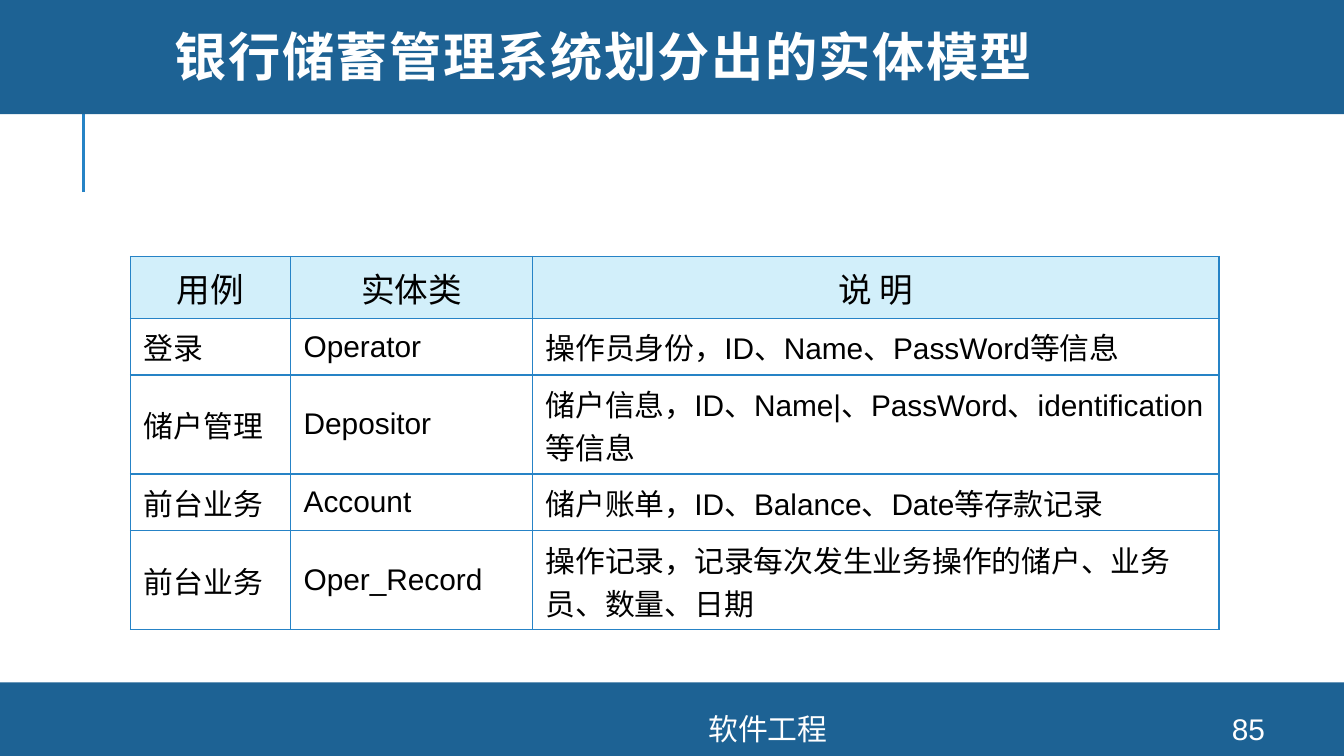
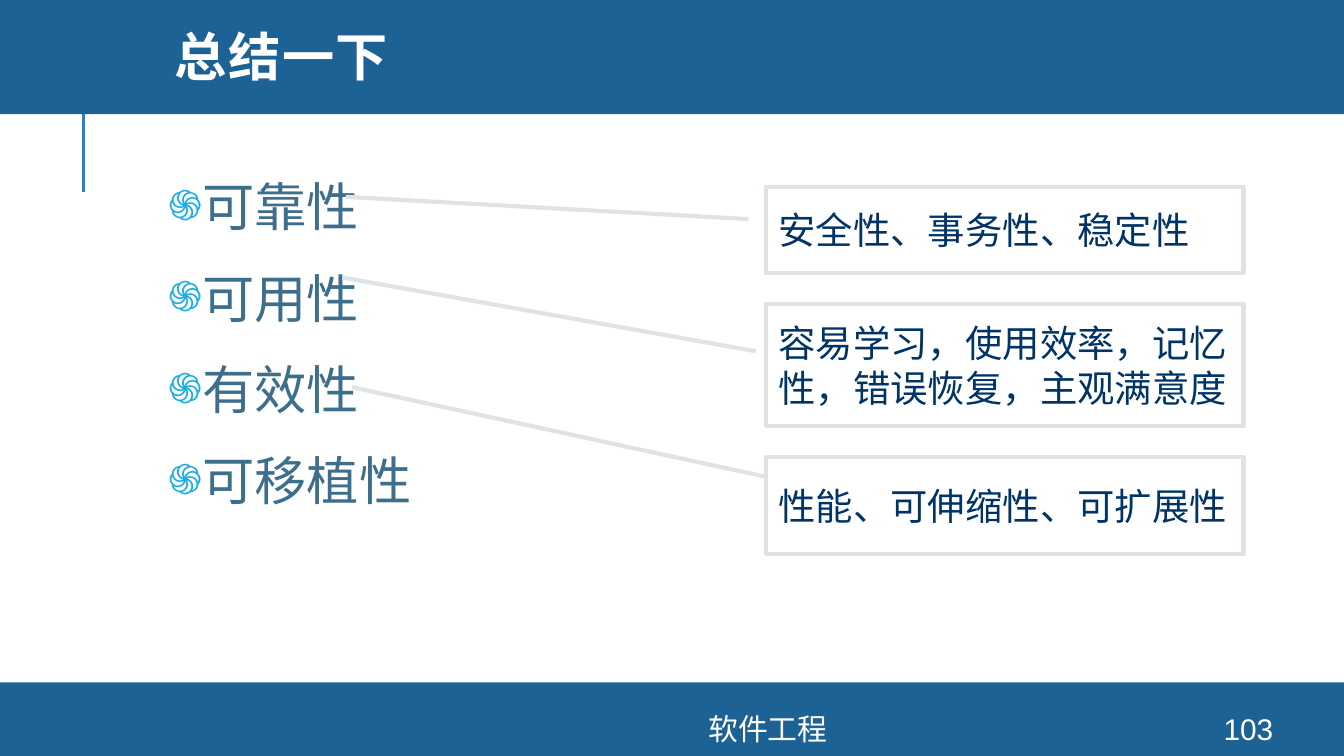
from lxml.etree import SubElement
from pptx import Presentation
from pptx.dml.color import RGBColor
from pptx.enum.shapes import MSO_CONNECTOR, MSO_SHAPE
from pptx.enum.text import MSO_ANCHOR, MSO_AUTO_SIZE, PP_ALIGN
from pptx.oxml import parse_xml
from pptx.oxml.ns import nsdecls, qn
from pptx.util import Cm, Pt

# Colours and fonts
WHITE = RGBColor(0xFF, 0xFF, 0xFF)
BLACK = RGBColor(0, 0, 0)
BAND = RGBColor(0x1D, 0x62, 0x94)
RULE = RGBColor(0x26, 0x83, 0xC6)
HEAD = RGBColor(0xD2, 0xEF, 0xFA)
SLATE = RGBColor(0x3D, 0x6E, 0x8C)
BULLET = RGBColor(0x1C, 0xAD, 0xE4)
FRAME = RGBColor(0xDF, 0xE3, 0xE5)
NAVY = RGBColor(0x00, 0x33, 0x66)
BODY_FONT = "Arial"
TITLE_FONT = "Montserrat"

# Table content
COLS = (3.02, 4.57, 12.98)
ROWS = (1.17, 1.07, 1.87, 1.07, 1.87)
ENTITIES = (
    ("用例", "实体类", "说 明"),
    ("登录", "Operator", "操作员身份，ID、Name、PassWord等信息"),
    ("储户管理", "Depositor",
     "储户信息，ID、Name|、PassWord、identification等信息"),
    ("前台业务", "Account", "储户账单，ID、Balance、Date等存款记录"),
    ("前台业务", "Oper_Record",
     "操作记录，记录每次发生业务操作的储户、业务员、数量、日期"),
)

# Summary content: callouts hold top, height, pointer ratios and text
TRAITS = ("可靠性", "可用性", "有效性", "可移植性")
CALLOUTS = (
    (3.53, 1.63, (0.376, -0.037, 0.118, -0.881), "安全性、事务性、稳定性"),
    (5.74, 2.31, (0.39, -0.022, -0.214, -0.888),
     "容易学习，使用效率，记忆性，错误恢复，主观满意度"),
    (8.64, 1.83, (0.203, -0.002, -0.722, -0.868), "性能、可伸缩性、可扩展性"),
)


def style(para, size, color, align=PP_ALIGN.LEFT, name=BODY_FONT):
    para.alignment = align
    font = para.font
    font.size, font.name = Pt(size), name
    font.color.rgb = color


def inset(frame, side, edge):
    frame.margin_left = frame.margin_right = Cm(side)
    frame.margin_top = frame.margin_bottom = Cm(edge)


def add_band(slide, top, height):
    band = slide.shapes.add_shape(
        MSO_SHAPE.RECTANGLE, 0, Cm(top), Cm(25.4), Cm(height))
    band.shadow.inherit = False
    band.fill.solid()
    band.fill.fore_color.rgb = BAND
    band.line.fill.background()
    return band


def add_rule(slide):
    rule = slide.shapes.add_connector(
        MSO_CONNECTOR.STRAIGHT, Cm(1.58), Cm(3.63), Cm(1.58), Cm(1.73))
    rule.line.color.rgb = RULE
    rule.line.width = Pt(1.5)
    SubElement(rule.element.spPr, qn("a:effectLst"))
    return rule


def dress_layout(slide):
    """Place the rule and both bands on the layout, behind its title."""
    title, *rest = slide.slide_layout.placeholders
    for holder in rest:
        holder.element.getparent().remove(holder.element)
    parts = (add_rule(slide), add_band(slide, 12.9, 1.39),
             add_band(slide, -0.08, 2.24))
    for part in parts:
        title.element.addprevious(part.element)


def set_title(slide, text):
    title = slide.shapes.title
    title.left, title.top = Cm(3.05), 0
    title.width, title.height = Cm(21.56), Cm(2.31)
    frame = title.text_frame
    frame.auto_size = MSO_AUTO_SIZE.NONE
    frame.vertical_anchor = MSO_ANCHOR.MIDDLE
    para = frame.paragraphs[0]
    run = para.add_run()
    run.text = text
    run._r.get_or_add_rPr().set("spc", "80")
    style(para, 28, WHITE, name=TITLE_FONT)
    para.font.bold = True
    para.line_spacing = 0.8


def add_note(slide, left, width, text):
    box = slide.shapes.add_textbox(Cm(left), Cm(13.49), Cm(width), Cm(0.58))
    frame = box.text_frame
    frame.word_wrap = True
    frame.vertical_anchor = MSO_ANCHOR.MIDDLE
    frame.text = text
    style(frame.paragraphs[0], 16, WHITE, PP_ALIGN.CENTER)


def add_page(deck, title, number):
    slide = deck.slides.add_slide(deck.slide_layouts[5])
    set_title(slide, title)
    add_note(slide, 6.63, 15.77, "软件工程")
    add_note(slide, 22.58, 2.03, number)
    return slide


def set_border(cell):
    props = cell._tc.get_or_add_tcPr()
    for side in ("lnL", "lnR", "lnT", "lnB"):
        props.append(parse_xml(
            f'<a:{side} {nsdecls("a")} w="{Pt(1)}"><a:solidFill>'
            f'<a:srgbClr val="{RULE}"/></a:solidFill></a:{side}>'))


def fill_cell(cell, text, head):
    set_border(cell)
    cell.fill.solid()
    cell.fill.fore_color.rgb = HEAD if head else WHITE
    cell.vertical_anchor = MSO_ANCHOR.TOP if head else MSO_ANCHOR.MIDDLE
    inset(cell, 0.25, 0.13)
    cell.text = text
    para = cell.text_frame.paragraphs[0]
    # Keep closing marks inside the cell
    para._p.get_or_add_pPr().set("hangingPunct", "0")
    style(para, 18 if head else 16, BLACK,
          PP_ALIGN.CENTER if head else PP_ALIGN.LEFT)


def add_grid(slide):
    table = slide.shapes.add_table(
        len(ROWS), len(COLS), Cm(2.47), Cm(4.85),
        Cm(sum(COLS)), Cm(sum(ROWS))).table
    table.first_row = table.horz_banding = False
    for col, width in zip(table.columns, COLS):
        col.width = Cm(width)
    for row, height, texts in zip(table.rows, ROWS, ENTITIES):
        row.height = Cm(height)
        for cell, text in zip(row.cells, texts):
            fill_cell(cell, text, texts is ENTITIES[0])


def add_bullet(para):
    props = para._p.get_or_add_pPr()
    props.set("marL", str(Cm(0.18)))
    props.set("indent", str(Cm(-1.19)))
    color = SubElement(props, qn("a:buClr"))
    SubElement(color, qn("a:srgbClr")).set("val", str(BULLET))
    SubElement(props, qn("a:buSzPct")).set("val", "80000")
    SubElement(props, qn("a:buFont")).set("typeface", BODY_FONT)
    SubElement(props, qn("a:buChar")).set("char", "֍")


def add_list(slide, items):
    box = slide.shapes.add_textbox(Cm(3.05), Cm(3.05), Cm(20.85), Cm(10.08))
    frame = box.text_frame
    frame.word_wrap = True
    inset(frame, 0.13, 0.13)
    frame.text = "\n".join(items)
    for i, para in enumerate(frame.paragraphs):
        add_bullet(para)
        style(para, 28, SLATE, PP_ALIGN.JUSTIFY)
        para.line_spacing = 1.1
        if i:
            para.space_before = Pt(12)


def add_callout(slide, top, height, ratios, text):
    box = slide.shapes.add_shape(
        MSO_SHAPE.LINE_CALLOUT_1, Cm(14.48), Cm(top), Cm(9.02), Cm(height))
    for i, ratio in enumerate(ratios):
        box.adjustments[i] = ratio
    box.shadow.inherit = False
    box.fill.solid()
    box.fill.fore_color.rgb = WHITE
    box.line.color.rgb = FRAME
    box.line.width = Pt(2.25)
    frame = box.text_frame
    frame.word_wrap = True
    frame.vertical_anchor = MSO_ANCHOR.MIDDLE
    inset(frame, 0.23, 0.1)
    frame.text = text
    style(frame.paragraphs[0], 20, NAVY)


def main():
    deck = Presentation()
    deck.slide_width, deck.slide_height = Cm(25.4), Cm(14.29)

    # Entity table
    model = add_page(deck, "银行储蓄管理系统划分出的实体模型", "85")
    dress_layout(model)
    add_grid(model)

    # Summary of qualities
    recap = add_page(deck, "总结一下", "103")
    add_list(recap, TRAITS)
    for callout in CALLOUTS:
        add_callout(recap, *callout)

    deck.save("out.pptx")


if __name__ == "__main__":
    main()
